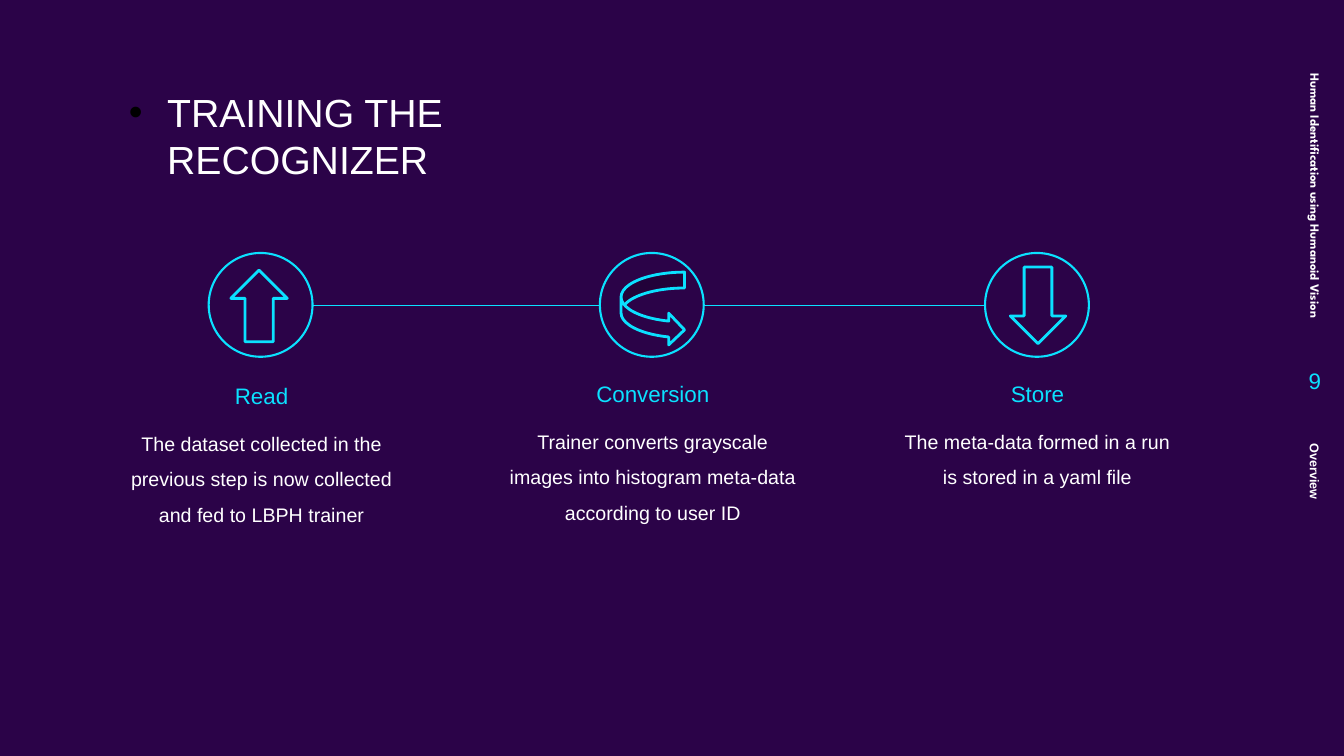
from dataclasses import dataclass

from lxml.etree import SubElement
from pptx import Presentation
from pptx.dml.color import RGBColor
from pptx.enum.shapes import MSO_CONNECTOR, MSO_SHAPE
from pptx.enum.text import MSO_ANCHOR, PP_ALIGN
from pptx.oxml.ns import qn
from pptx.util import Inches, Pt


@dataclass(frozen=True)
class Theme:
    background: RGBColor = RGBColor(0x2B, 0x03, 0x48)
    accent: RGBColor = RGBColor(0x0B, 0xE1, 0xFF)
    text: RGBColor = RGBColor(0xFF, 0xFF, 0xFF)
    bullet: str = "000000"
    font: str = "Arial"
    side_font: str = "League Spartan"
    title_size: float = 28
    heading_size: float = 16
    body_size: float = 14
    side_size: float = 9
    rail_width: float = 0.75
    circle_width: float = 1.5
    icon_width: float = 2


THEME = Theme()

# Heading, description, text box (left, top, width), circle left, icon, icon box
STEPS = [
    ("Read",
     "The dataset collected in the previous step is now collected and fed to LBPH trainer",
     (1.06, 3.74, 3.07), 2.07, MSO_SHAPE.UP_ARROW, (2.29, 2.68, 0.56, 0.71)),
    ("Conversion",
     "Trainer converts grayscale images into histogram meta-data according to user ID",
     (4.94, 3.72, 3.07), 5.95, MSO_SHAPE.CURVED_RIGHT_ARROW, (6.16, 2.7, 0.63, 0.73)),
    ("Store",
     "The meta-data formed in a run is stored in a yaml file",
     (8.82, 3.72, 2.94), 9.77, MSO_SHAPE.DOWN_ARROW, (10.02, 2.65, 0.55, 0.76)),
]
CIRCLE_TOP, CIRCLE_SIZE = 2.51, 1.03


def inches(box):
    return [Inches(length) for length in box]


def apply(target, values):
    for name, value in values.items():
        setattr(target, name, value)


def add_bullet(paragraph):
    properties = paragraph._p.get_or_add_pPr()
    properties.set("marL", str(Inches(0.5)))
    properties.set("indent", str(Inches(-0.38)))
    color = SubElement(properties, qn("a:buClr"))
    SubElement(color, qn("a:srgbClr"), val=THEME.bullet)
    SubElement(properties, qn("a:buFont"), typeface=THEME.font)
    SubElement(properties, qn("a:buChar"), char="•")


def add_text(slide, box, text, size, color, alignment=PP_ALIGN.LEFT,
             anchor=MSO_ANCHOR.TOP, font=THEME.font, bold=False,
             line_spacing=None, rotation=0, bullet=False):
    shape = slide.shapes.add_textbox(*inches(box))
    shape.rotation = rotation
    apply(shape.text_frame, {"word_wrap": True, "vertical_anchor": anchor})
    paragraph = shape.text_frame.paragraphs[0]
    apply(paragraph, {"alignment": alignment, "line_spacing": line_spacing})
    if bullet:
        add_bullet(paragraph)
    run = paragraph.add_run()
    run.text = text
    apply(run.font, {"name": font, "size": Pt(size), "bold": bold})
    run.font.color.rgb = color


def add_outline_shape(slide, kind, box, width):
    shape = slide.shapes.add_shape(kind, *inches(box))
    shape.shadow.inherit = False
    shape.fill.solid()
    shape.fill.fore_color.rgb = THEME.background
    shape.line.color.rgb = THEME.accent
    shape.line.width = Pt(width)


def add_rail(slide, left, right, middle):
    rail = slide.shapes.add_connector(
        MSO_CONNECTOR.STRAIGHT, *inches((left, middle, right, middle)))
    rail.line.color.rgb = THEME.accent
    rail.line.width = Pt(THEME.rail_width)
    SubElement(rail._element.spPr, qn("a:effectLst"))


def add_step(slide, heading, description, text_box, circle_left, icon, icon_box):
    left, top, width = text_box
    add_text(slide, (left, top, width, 0.4), heading, THEME.heading_size,
             THEME.accent, PP_ALIGN.CENTER)
    add_text(slide, (left, top + 0.38, width, 1.26), description,
             THEME.body_size, THEME.text, PP_ALIGN.CENTER, line_spacing=1.5)
    add_outline_shape(slide, MSO_SHAPE.OVAL,
                      (circle_left, CIRCLE_TOP, CIRCLE_SIZE, CIRCLE_SIZE),
                      THEME.circle_width)
    add_outline_shape(slide, icon, icon_box, THEME.icon_width)


def add_sidebar(slide, center):
    side_text = {"size": THEME.side_size, "color": THEME.text, "bold": True,
                 "rotation": 90, "anchor": MSO_ANCHOR.MIDDLE}
    add_text(slide, (center - 1.51, 1.54, 3.03, 0.4),
             "Human Identification using Humanoid Vision",
             alignment=PP_ALIGN.RIGHT, font=THEME.side_font, **side_text)
    add_text(slide, (center - 0.44, 3.46, 0.6, 0.63), "9", THEME.heading_size,
             THEME.accent, PP_ALIGN.RIGHT, MSO_ANCHOR.MIDDLE)
    add_text(slide, (center - 1.45, 5.55, 2.9, 0.4), "Overview", **side_text)


def main():
    presentation = Presentation()
    apply(presentation, {"slide_width": Inches(13.33), "slide_height": Inches(7.5)})
    slide = presentation.slides.add_slide(presentation.slide_layouts[6])
    slide.background.fill.solid()
    slide.background.fill.fore_color.rgb = THEME.background

    # Title
    add_text(slide, (1.06, 0.83, 5.93, 0.63), "TRAINING THE RECOGNIZER",
             THEME.title_size, THEME.text, bullet=True)

    # Process steps on their rail
    add_rail(slide, 2.92, 10.12, 3.03)
    for step in STEPS:
        add_step(slide, *step)

    # Running text and page number
    add_sidebar(slide, 13.04)

    presentation.save("out.pptx")


if __name__ == "__main__":
    main()
